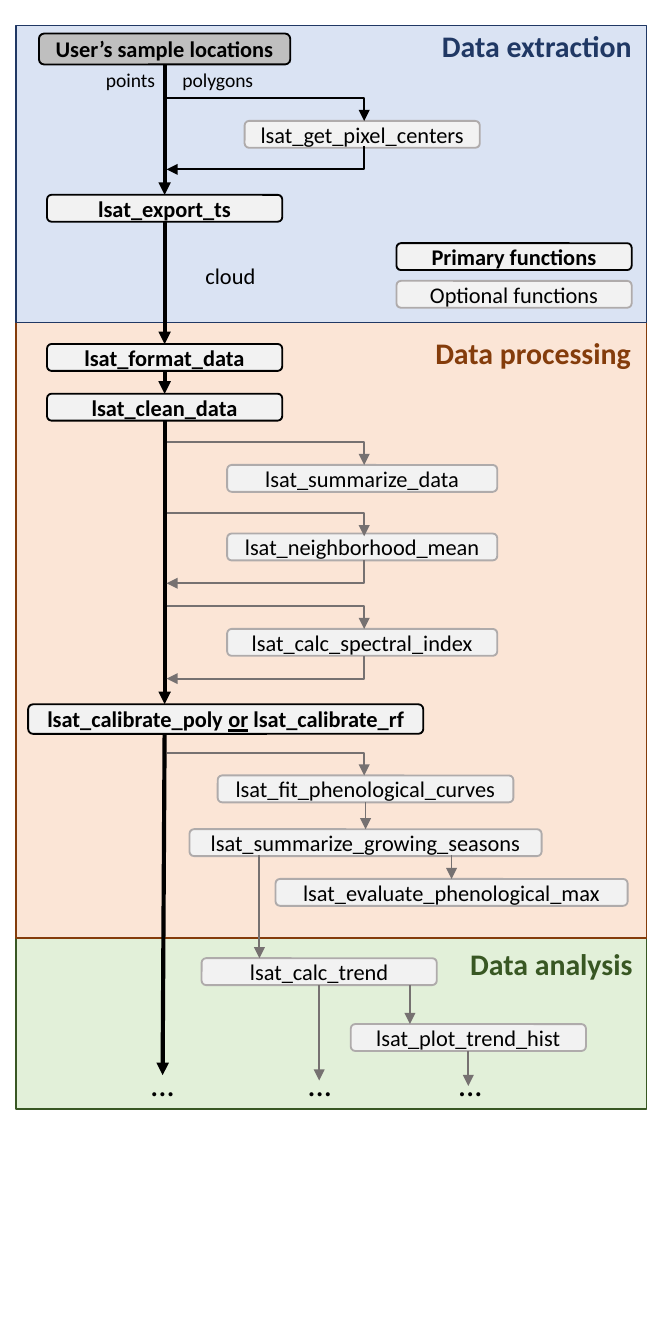
import pptx
import pptx.dml.color
import pptx.enum.shapes
import pptx.enum.text
import pptx.oxml
import pptx.oxml.ns
import pptx.util

COLUMNS, ROWS = 500, 1000
CELL = pptx.util.Inches(0.01)
FONT = "Calibri"
BLACK, DARK_GRAY, LIGHT_GRAY, PALE, SILVER = "000000", "767171", "AFABAB", "F2F2F2", "BFBFBF"

# Columns shared by several parts
SECTION_LEFT, SECTION_WIDTH, TITLE_RIGHT = 12, 469, 482
SPINE, SIDE, SEASON, LEGEND = 122.5, 269.5, 272, 382.5
TREND, HISTOGRAM, EVALUATION = 237.5, 348.5, 336
DETOUR_LEFT, DETOUR_RIGHT, DETOUR_HEIGHT = 124, 271, 17
BOX_HEIGHT = 20

# title, title row, title width, top row, height, fill, colour; back to front
SECTIONS = [
    ("Data analysis", 699, 142, 675, 150, "E2F0D9", "385723"),
    ("Data processing", 244, 168, 239, 459, "FBE5D6", "843C0B"),
    ("Data extraction", 16, 163, 19, 221, "DAE3F3", "203864"),
]

SAMPLES = "User’s sample locations"
CALIBRATE = "lsat_calibrate_poly or lsat_calibrate_rf"
UNDERLINED = "or"

# label, centre column, top row, width, height
PRIMARY_BOXES = [
    (SAMPLES, SPINE, 25, 187, 23),
    ("lsat_export_ts", SPINE, 145, 175, BOX_HEIGHT),
    ("lsat_format_data", SPINE, 256, 175, BOX_HEIGHT),
    ("lsat_clean_data", SPINE, 293, 175, BOX_HEIGHT),
    (CALIBRATE, 168, 524, 294, 22),
    ("Primary functions", LEGEND, 181, 175, BOX_HEIGHT),
]
OPTIONAL_BOXES = [
    ("Optional functions", LEGEND, 209, 175, BOX_HEIGHT),
    ("lsat_get_pixel_centers", SIDE, 90, 175, BOX_HEIGHT),
    ("lsat_summarize_data", SIDE, 346, 201, BOX_HEIGHT),
    ("lsat_neighborhood_mean", SIDE, 397, 201, BOX_HEIGHT),
    ("lsat_calc_spectral_index", SIDE, 468, 201, BOX_HEIGHT),
    ("lsat_fit_phenological_curves", SEASON, 577, 220, BOX_HEIGHT),
    ("lsat_summarize_growing_seasons", SEASON, 617, 262, BOX_HEIGHT),
    ("lsat_evaluate_phenological_max", EVALUATION, 654, 262, BOX_HEIGHT),
    ("lsat_calc_trend", TREND, 713, 175, BOX_HEIGHT),
    ("lsat_plot_trend_hist", HISTOGRAM, 762, 175, BOX_HEIGHT),
]

# Each end is a box label or a (column, row) point
MAIN_ARROWS = [
    (SAMPLES, "lsat_export_ts"),
    ("lsat_export_ts", "lsat_format_data"),
    ("lsat_format_data", "lsat_clean_data"),
    ("lsat_clean_data", (SPINE, 524)),
    ((SPINE, 546), (121, 800)),
]
SIDE_ARROWS = [
    ("lsat_fit_phenological_curves", "lsat_summarize_growing_seasons"),
    ((EVALUATION, 636), "lsat_evaluate_phenological_max"),
    ((193, 636), (193, 713)),
    ("lsat_calc_trend", (TREND, 804)),
    ((305, 733), (305, 762)),
    ("lsat_plot_trend_hist", (HISTOGRAM, 808)),
]

# row leaving the spine, row leaving the box on the way back (if any), colour
DETOURS = [
    (73, 109, BLACK),
    (329, None, DARK_GRAY),
    (382, 417, DARK_GRAY),
    (451, 488, DARK_GRAY),
    (560, None, DARK_GRAY),
]

# text, left column, top row, width, height, size
LABELS = [
    ("points", 69, 46, 57, 28, 10.5),
    ("polygons", 126, 46, 74, 28, 10.5),
    ("cloud", 143, 190, 59, 30, 12),
]
ELLIPSIS_LEFTS = [103, 220, 332]


def grid(*cells):
    return [round(cell * CELL) for cell in cells]


def color(hex_string):
    return pptx.dml.color.RGBColor.from_string(hex_string)


def add_run(paragraph, text, size, hex_string, bold=False):
    run = paragraph.add_run()
    run.text = text
    run.font.name = FONT
    run.font.size = pptx.util.Pt(size)
    run.font.bold = bold
    run.font.color.rgb = color(hex_string)
    return run


def add_panel(shapes, preset, place, fill, line):
    shape = shapes.add_shape(preset, *grid(*place))
    shape.shadow.inherit = False
    shape.fill.solid()
    shape.fill.fore_color.rgb = color(fill)
    shape.line.color.rgb = color(line)
    shape.line.width = pptx.util.Pt(1)
    return shape


def add_box(shapes, label, center, top, width, height, fill, line, bold):
    place = (center - width / 2, top, width, height)
    shape = add_panel(shapes, pptx.enum.shapes.MSO_SHAPE.ROUNDED_RECTANGLE, place, fill, line)
    shape.text_frame.vertical_anchor = pptx.enum.text.MSO_ANCHOR.MIDDLE
    paragraph = shape.text_frame.paragraphs[0]
    paragraph.alignment = pptx.enum.text.PP_ALIGN.CENTER
    before, word, after = label.partition(f" {UNDERLINED} ")
    add_run(paragraph, before + " " if word else before, 12, BLACK, bold)
    if word:
        add_run(paragraph, UNDERLINED, 12, BLACK, bold).font.underline = True
        add_run(paragraph, " " + after, 12, BLACK, bold)
    return shape


def add_label(shapes, text, place, size, hex_string=BLACK, bold=False, wrap=False):
    text_box = shapes.add_textbox(*grid(*place))
    text_box.text_frame.word_wrap = wrap
    text_box.text_frame.auto_size = pptx.enum.text.MSO_AUTO_SIZE.SHAPE_TO_FIT_TEXT
    return add_run(text_box.text_frame.paragraphs[0], text, size, hex_string, bold)


def add_arrow(shapes, kind, begin, end, hex_string, width):
    """Add a connector between two points given in EMU, with an arrowhead at its end."""
    connector = shapes.add_connector(kind, *begin, *end)
    connector.line.color.rgb = color(hex_string)
    connector.line.width = pptx.util.Pt(width)
    head = pptx.oxml.parse_xml(f'<a:tailEnd {pptx.oxml.ns.nsdecls("a")} type="triangle"/>')
    connector.line._get_or_add_ln().append(head)
    effects = pptx.oxml.parse_xml(f'<a:effectLst {pptx.oxml.ns.nsdecls("a")}/>')
    connector._element.spPr.append(effects)
    return connector


def add_straight(shapes, boxes, begin, end, hex_string, width):
    """Join box bottoms to box tops; ends given as points stay free."""
    source, target = (boxes.get(place) for place in (begin, end))
    start = (source.left + source.width // 2, source.top + source.height) if source else grid(*begin)
    finish = (target.left + target.width // 2, target.top) if target else grid(*end)
    straight = pptx.enum.shapes.MSO_CONNECTOR.STRAIGHT
    connector = add_arrow(shapes, straight, start, finish, hex_string, width)
    if source:
        connector.begin_connect(source, 2)
    if target:
        connector.end_connect(target, 0)


def add_bend(shapes, row, hex_string, returning=False):
    """One-corner arrow: right then down, or, when returning, down then left."""
    width, height = DETOUR_RIGHT - DETOUR_LEFT, DETOUR_HEIGHT
    middle_x, middle_y = DETOUR_LEFT + width / 2, row + height / 2
    if returning:
        width, height = height, width
    begin = grid(middle_x - width / 2, middle_y - height / 2)
    end = grid(middle_x + width / 2, middle_y + height / 2)
    elbow = pptx.enum.shapes.MSO_CONNECTOR.ELBOW
    properties = add_arrow(shapes, elbow, begin, end, hex_string, 1)._element.spPr
    properties.find(pptx.oxml.ns.qn("a:prstGeom")).set("prst", "bentConnector2")
    if returning:
        properties.find(pptx.oxml.ns.qn("a:xfrm")).set("rot", str(90 * 60000))


def main():
    presentation = pptx.Presentation()
    presentation.slide_width, presentation.slide_height = grid(COLUMNS, ROWS)
    shapes = presentation.slides.add_slide(presentation.slide_layouts[6]).shapes

    for title, title_top, title_width, top, height, fill, dark in SECTIONS:
        place = (SECTION_LEFT, top, SECTION_WIDTH, height)
        add_panel(shapes, pptx.enum.shapes.MSO_SHAPE.RECTANGLE, place, fill, dark)
        title_place = (TITLE_RIGHT - title_width, title_top, title_width, 37)
        add_label(shapes, title, title_place, 16, dark, bold=True)

    boxes = {}
    for label, *place in PRIMARY_BOXES:
        fill = SILVER if label == SAMPLES else PALE
        boxes[label] = add_box(shapes, label, *place, fill, BLACK, True)
    for label, *place in OPTIONAL_BOXES:
        boxes[label] = add_box(shapes, label, *place, PALE, LIGHT_GRAY, False)

    for arrows, hex_string, width in ((MAIN_ARROWS, BLACK, 2.25), (SIDE_ARROWS, DARK_GRAY, 1)):
        for begin, end in arrows:
            add_straight(shapes, boxes, begin, end, hex_string, width)
    for out_row, return_row, hex_string in DETOURS:
        add_bend(shapes, out_row, hex_string)
        if return_row:
            add_bend(shapes, return_row, hex_string, returning=True)

    for text, *place, size in LABELS:
        add_label(shapes, text, place, size)
    for left in ELLIPSIS_LEFTS:
        add_label(shapes, "…", (left, 786, 39, 40), 18, wrap=True).font.italic = True

    presentation.save("out.pptx")


if __name__ == "__main__":
    main()
